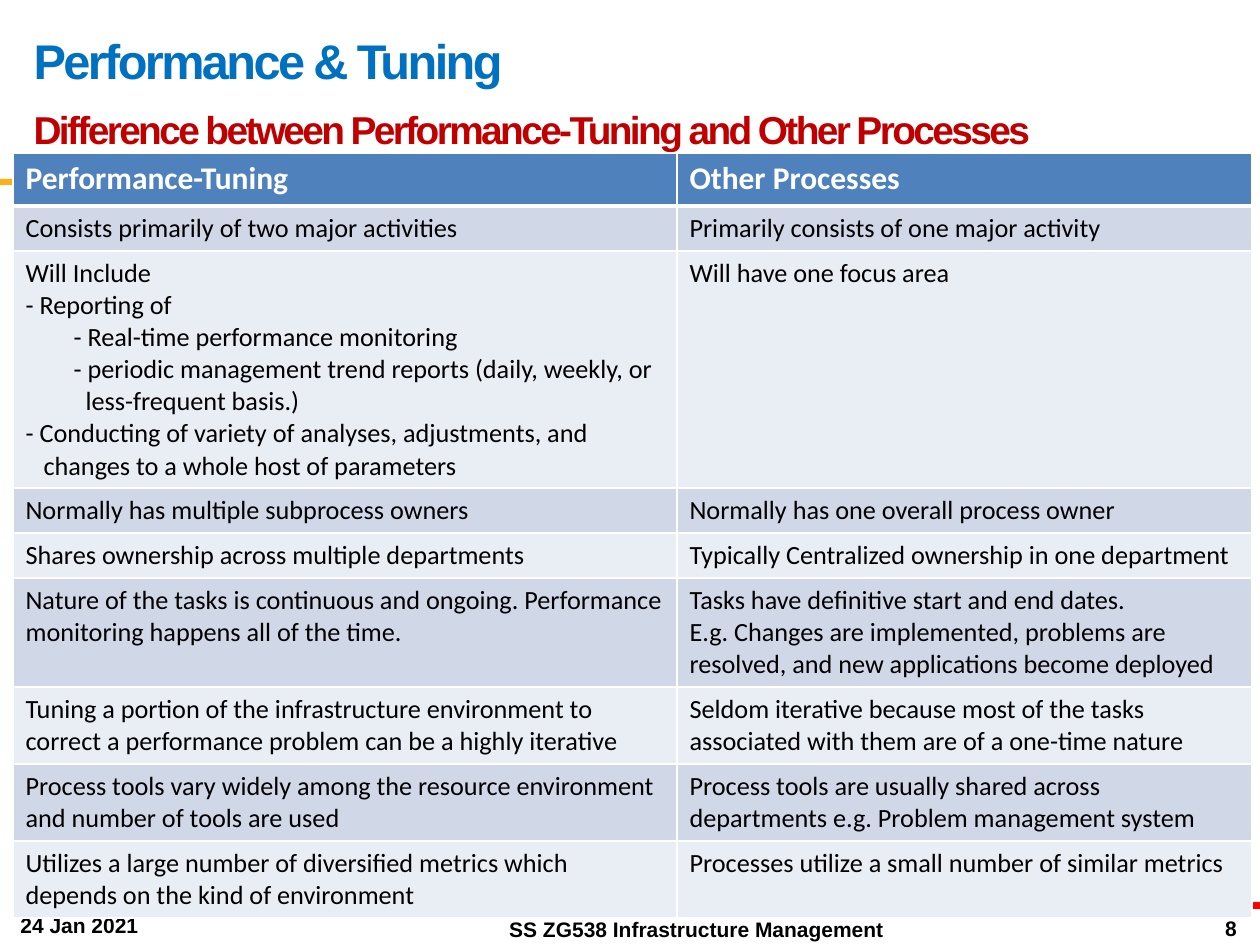
from typing import NamedTuple

from lxml import etree
from pptx import Presentation
from pptx.dml.color import RGBColor
from pptx.enum.shapes import MSO_SHAPE
from pptx.enum.text import MSO_ANCHOR, MSO_AUTO_SIZE, PP_ALIGN
from pptx.oxml.ns import qn
from pptx.util import Emu, Pt

RECT = MSO_SHAPE.RECTANGLE
TOP, MIDDLE = MSO_ANCHOR.TOP, MSO_ANCHOR.MIDDLE
LEFT, CENTER, RIGHT = PP_ALIGN.LEFT, PP_ALIGN.CENTER, PP_ALIGN.RIGHT
NO_FIT = MSO_AUTO_SIZE.NONE

SCALE = 914400 / 126
COLORS = {
    "blue": "0070C0", "crimson": "C00000", "black": "000000", "white": "FFFFFF",
    "head": "4F81BD", "dark": "D0D8E8", "light": "E9EDF4",
    "sky": "76C2E5", "gold": "FCB017", "brick": "E31C24", "red": "FF0000",
}


class Bar(NamedTuple):
    left: int
    top: int
    width: int
    color: str


class Note(NamedTuple):
    text: str
    left: int
    top: int
    width: int
    height: int
    align: PP_ALIGN
    anchor: MSO_ANCHOR
    wrap: bool


class Line(NamedTuple):
    text: str
    margin: int = 0
    hang: int = 0


class Row(NamedTuple):
    height: int
    tuning: list[Line]
    other: list[Line]


BARS = [
    Bar(638, 902, 321, "sky"), Bar(951, 902, 309, "brick"), Bar(287, 902, 355, "gold"),
    Bar(620, 903, 321, "sky"), Bar(294, 903, 325, "gold"), Bar(939, 903, 321, "red"),
    Bar(325, 179, 321, "sky"), Bar(0, 179, 325, "gold"), Bar(645, 179, 321, "red"),
]
NOTES = [
    Note("24 Jan 2021", 8, 906, 144, 38, LEFT, TOP, False),
    Note("SS ZG538 Infrastructure Management", 493, 904, 407, 50, CENTER, MIDDLE, True),
    Note("8", 955, 903, 294, 50, RIGHT, MIDDLE, True),
]
TITLES = [
    ("Performance & Tuning", 27.8, "blue"),
    ("Difference between Performance-Tuning and Other Processes", 22.2, "crimson"),
]
COLS = [664, 575]
ROWS = [
    Row(53, [Line("Performance-Tuning")], [Line("Other Processes")]),
    Row(45, [Line("Consists primarily of two major activities")],
        [Line("Primarily consists of one major activity")]),
    Row(237, [
        Line("Will Include"),
        Line("- Reporting of"),
        Line("- Real-time performance monitoring", 60, 12),
        Line("- periodic management trend reports (daily, weekly, or "
             "less-frequent basis.)", 60, 12),
        Line("- Conducting of variety of analyses, adjustments, and "
             "changes to a whole host of parameters", 18, 18),
    ], [Line("Will have one focus area")]),
    Row(45, [Line("Normally has multiple subprocess owners")],
        [Line("Normally has one overall process owner")]),
    Row(45, [Line("Shares ownership across multiple departments")],
        [Line("Typically Centralized ownership in one department")]),
    Row(109, [Line("Nature of the tasks is continuous and ongoing. Performance "
                   "monitoring happens all of the time.")],
        [Line("Tasks have definitive start and end dates."),
         Line("E.g. Changes are implemented, problems are resolved, "
              "and new applications become deployed")]),
    Row(77, [Line("Tuning a portion of the infrastructure environment to "
                  "correct a performance problem can be a highly iterative")],
        [Line("Seldom iterative because most of the tasks associated with "
              "them are of a one-time nature")]),
    Row(77, [Line("Process tools vary widely among the resource environment "
                  "and number of tools are used")],
        [Line("Process tools are usually shared across departments "
              "e.g. Problem management system")]),
    Row(77, [Line("Utilizes a large number of diversified metrics which "
                  "depends on the kind of environment")],
        [Line("Processes utilize a small number of similar metrics")]),
]


def px(size: int) -> Emu:
    return Emu(round(size * SCALE))


def box(*sizes: int) -> list[Emu]:
    return [px(size) for size in sizes]


def rgb(name: str) -> RGBColor:
    return RGBColor.from_string(COLORS[name])


def set_font(para, name: str, size: float, color: str, bold: bool) -> None:
    font = para.font
    font.name, font.size, font.bold = name, Pt(size), bold
    font.color.rgb = rgb(color)


def draw_bar(slide, bar: Bar) -> None:
    shape = slide.shapes.add_shape(RECT, *box(bar.left, bar.top, bar.width, 6))
    shape.shadow.inherit = False
    shape.fill.solid()
    shape.fill.fore_color.rgb = rgb(bar.color)
    shape.line.fill.background()


def draw_title(slide) -> None:
    title = slide.shapes.title
    title.left, title.top, title.width, title.height = box(21, 0, 1071, 179)
    frame = title.text_frame
    frame.auto_size, frame.vertical_anchor = NO_FIT, MIDDLE
    frame.text = "\n".join(text for text, _, _ in TITLES)
    for para, (_, size, color) in zip(frame.paragraphs, TITLES):
        para.alignment, para.line_spacing = LEFT, Pt(36)
        para.space_before = Pt(0)
        set_font(para, "Arial", size, color, True)
        # Tight letter spacing
        para.runs[0]._r.get_or_add_rPr().set("spc", "-150")


def draw_note(slide, note: Note) -> None:
    area = box(note.left, note.top, note.width, note.height)
    frame = slide.shapes.add_textbox(*area).text_frame
    frame.word_wrap, frame.vertical_anchor = note.wrap, note.anchor
    frame.text = note.text
    para = frame.paragraphs[0]
    para.alignment = note.align
    set_font(para, "Arial", 12, "black", True)


def set_edges(cell, widths: dict[str, int]) -> None:
    props = cell._tc.get_or_add_tcPr()
    for side, width in widths.items():
        edge = etree.SubElement(props, qn(f"a:ln{side}"), w=str(Pt(width)))
        fill = etree.SubElement(edge, qn("a:solidFill"))
        etree.SubElement(fill, qn("a:srgbClr"), val=COLORS["white"])


def fill_cell(cell, lines: list[Line], index: int) -> None:
    head = index == 0
    set_edges(cell, {"L": 1, "R": 1, "T": 3 if index == 1 else 1, "B": 3 if head else 1})
    cell.fill.solid()
    cell.fill.fore_color.rgb = rgb("head" if head else "dark" if index % 2 else "light")
    frame = cell.text_frame
    frame.text = "\n".join(line.text for line in lines)
    for para, line in zip(frame.paragraphs, lines):
        set_font(para, "Calibri", 18 if head else 15, "white" if head else "black", head)
        if line.margin:
            props = para._p.get_or_add_pPr()
            props.set("marL", str(px(line.margin)))
            props.set("indent", str(px(-line.hang)))


def draw_table(slide) -> None:
    high = sum(row.height for row in ROWS)
    area = box(13, 153, sum(COLS), high)
    table = slide.shapes.add_table(len(ROWS), len(COLS), *area).table
    table.horz_banding = False
    for col, width in zip(table.columns, COLS):
        col.width = px(width)
    for index, row in enumerate(ROWS):
        table.rows[index].height = px(row.height)
        for col, lines in enumerate((row.tuning, row.other)):
            fill_cell(table.cell(index, col), lines, index)


def main() -> None:
    deck = Presentation()
    deck.slide_width, deck.slide_height = box(1260, 945)
    slide = deck.slides.add_slide(deck.slide_layouts[5])
    # Accent bars
    for bar in BARS:
        draw_bar(slide, bar)
    # Heading and footer
    draw_title(slide)
    for note in NOTES:
        draw_note(slide, note)
    # Comparison table
    draw_table(slide)
    deck.save("out.pptx")


if __name__ == "__main__":
    main()
